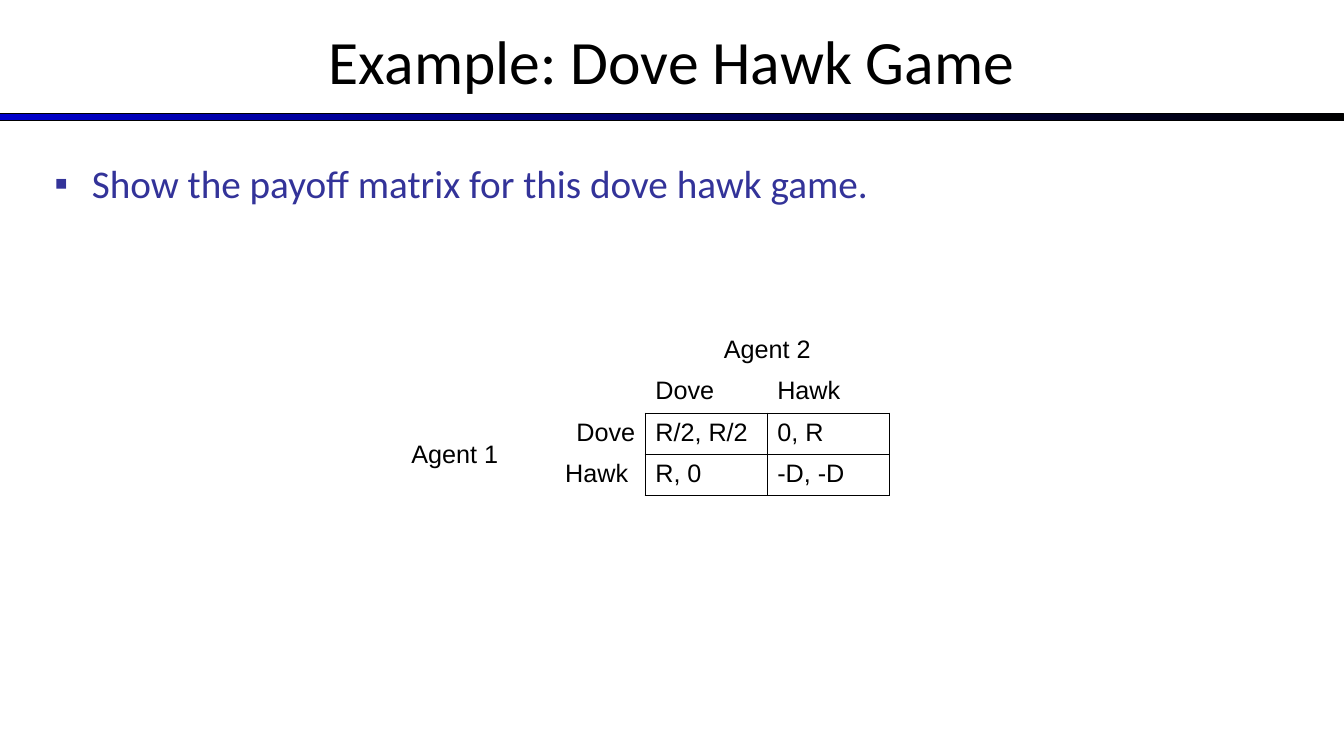
from dataclasses import dataclass

from pptx import Presentation
from pptx.dml.color import RGBColor
from pptx.enum.shapes import MSO_SHAPE as Preset
from pptx.enum.text import MSO_ANCHOR as Anchor, MSO_AUTO_SIZE as AutoSize, PP_ALIGN as Align
from pptx.oxml import parse_xml
from pptx.oxml.ns import nsdecls
from pptx.slide import Slide
from pptx.table import Table
from pptx.text.text import Font
from pptx.util import Inches, Pt

BLACK = RGBColor(0x00, 0x00, 0x00)
WHITE = RGBColor(0xFF, 0xFF, 0xFF)
BLUE = RGBColor(0x00, 0x00, 0xCC)
INDIGO = RGBColor(0x33, 0x33, 0x99)

WIDTH, HEIGHT = 13.33, 7.5
COLUMN_WIDTHS = (1.38, 1.04, 1.21, 1.21)
ROW_HEIGHT = 0.41
ROW_COUNT = 4
FIRST_PAYOFF = 2


@dataclass(frozen=True)
class Entry:
    """A text in the payoff matrix, with its place and span."""
    row: int
    column: int
    text: str
    align: Align = Align.LEFT
    row_span: int = 1
    column_span: int = 1


ENTRIES = (
    Entry(0, 2, "Agent 2", Align.CENTER, column_span=2),
    Entry(1, 2, "Dove"),
    Entry(1, 3, "Hawk"),
    Entry(2, 0, "Agent 1", row_span=2),
    Entry(2, 1, "Dove", Align.RIGHT),
    Entry(2, 2, "R/2, R/2"),
    Entry(2, 3, "0, R"),
    Entry(3, 1, "Hawk ", Align.RIGHT),
    Entry(3, 2, "R, 0"),
    Entry(3, 3, "-D, -D"),
)


def style_font(font: Font, name: str, size: float, color: RGBColor) -> None:
    """Set the typeface, size and colour of a font."""
    font.name, font.size, font.color.rgb = name, Pt(size), color


def fill_placeholder(page: Slide, index: int, box: tuple[float, ...], text: str,
                     size: float, color: RGBColor, anchor: Anchor, align: Align):
    """Place and fill a template placeholder and return its paragraph."""
    holder = page.placeholders[index]
    holder.left, holder.top, holder.width, holder.height = map(Inches, box)
    frame = holder.text_frame
    frame.text = text
    frame.auto_size = AutoSize.NONE
    frame.vertical_anchor = anchor
    para = frame.paragraphs[0]
    para.alignment = align
    style_font(para.font, "Calibri", size, color)
    return para


def add_bullet(para, color: RGBColor) -> None:
    """Give a paragraph a square bullet and a hanging indent."""
    properties = para._p.get_or_add_pPr()
    properties.set("marL", str(Inches(0.37)))
    properties.set("indent", str(-Inches(0.37)))
    para.space_before = Pt(5.6)
    properties.append(parse_xml(
        f'<a:buClr {nsdecls("a")}><a:srgbClr val="{color}"/></a:buClr>'))
    properties.append(parse_xml(f'<a:buFont {nsdecls("a")} typeface="Arial"/>'))
    properties.append(parse_xml(f'<a:buChar {nsdecls("a")} char="▪"/>'))


def add_title_bar(page: Slide) -> None:
    """Draw the gradient bar below the title."""
    bar = page.shapes.add_shape(Preset.RECTANGLE, 0, Inches(1.13), Inches(WIDTH), Inches(0.07))
    bar.shadow.inherit = False
    bar.fill.gradient()
    bar.fill.gradient_angle = 0
    for stop, position, color in zip(bar.fill.gradient_stops, (0, 1), (BLUE, BLACK)):
        stop.position, stop.color.rgb = position, color
    bar.line.color.rgb, bar.line.width = BLACK, Pt(0.75)


def is_payoff(row: int, column: int) -> bool:
    """Tell whether a cell holds a payoff."""
    return (FIRST_PAYOFF <= row < ROW_COUNT
            and FIRST_PAYOFF <= column < len(COLUMN_WIDTHS))


def format_cell(table: Table, row: int, column: int) -> None:
    """Fill a cell white and rule in black the edges that touch a payoff."""
    cell = table.cell(row, column)
    properties = cell._tc.get_or_add_tcPr()
    neighbours = {"L": (row, column - 1), "R": (row, column + 1),
                  "T": (row - 1, column), "B": (row + 1, column)}
    for side, neighbour in neighbours.items():
        color = BLACK if is_payoff(row, column) or is_payoff(*neighbour) else WHITE
        properties.append(parse_xml(
            f'<a:ln{side} {nsdecls("a")} w="{Pt(1)}"><a:solidFill>'
            f'<a:srgbClr val="{color}"/></a:solidFill></a:ln{side}>'))
    cell.fill.solid()
    cell.fill.fore_color.rgb = WHITE


def add_matrix(page: Slide) -> None:
    """Draw the payoff matrix."""
    table = page.shapes.add_table(
        ROW_COUNT, len(COLUMN_WIDTHS), Inches(3.98), Inches(3.28),
        Inches(sum(COLUMN_WIDTHS)), Inches(ROW_COUNT * ROW_HEIGHT)).table
    table.first_row = table.horz_banding = False
    for column, width in zip(table.columns, COLUMN_WIDTHS):
        column.width = Inches(width)
    for row in range(ROW_COUNT):
        for column in range(len(COLUMN_WIDTHS)):
            format_cell(table, row, column)
    for entry in ENTRIES:
        cell = table.cell(entry.row, entry.column)
        if entry.row_span > 1 or entry.column_span > 1:
            cell.merge(table.cell(entry.row + entry.row_span - 1,
                                  entry.column + entry.column_span - 1))
        cell.text = entry.text
        cell.vertical_anchor = Anchor.MIDDLE if entry.row_span > 1 else Anchor.TOP
        para = cell.text_frame.paragraphs[0]
        para.alignment = entry.align
        style_font(para.font, "Arial", 18, BLACK)


def main() -> None:
    """Build and save the slide."""
    deck = Presentation()
    deck.slide_width, deck.slide_height = Inches(WIDTH), Inches(HEIGHT)
    page = deck.slides.add_slide(deck.slide_layouts[1])
    add_title_bar(page)
    fill_placeholder(page, 0, (0, -0.03, WIDTH, 1.25), "Example: Dove Hawk Game",
                     44, BLACK, Anchor.MIDDLE, Align.CENTER)
    task = fill_placeholder(page, 1, (0.44, 1.53, 12.56, 5.17),
                            "Show the payoff matrix for this dove hawk game.",
                            28, INDIGO, Anchor.TOP, Align.LEFT)
    add_bullet(task, INDIGO)
    add_matrix(page)
    deck.save("out.pptx")


if __name__ == "__main__":
    main()
